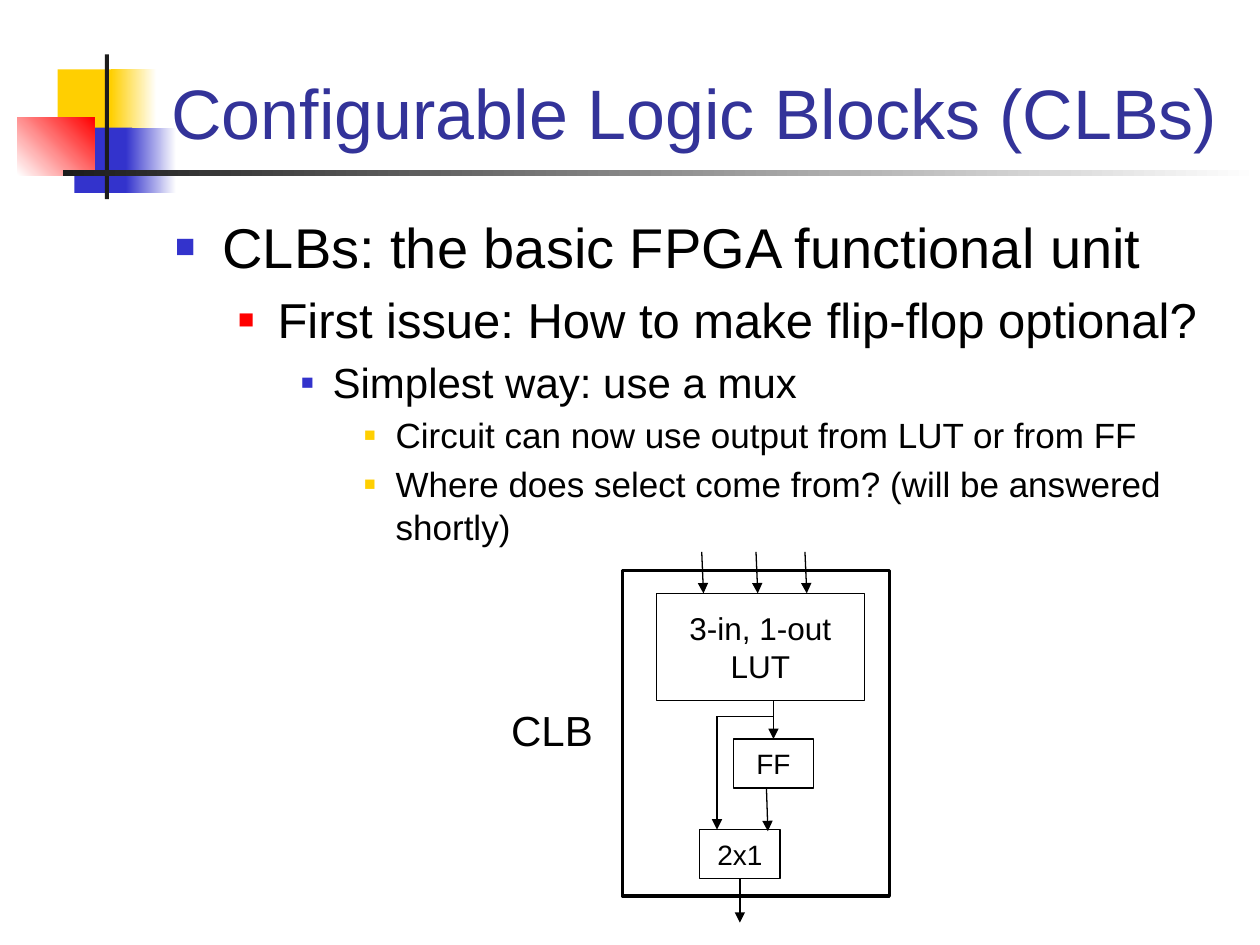
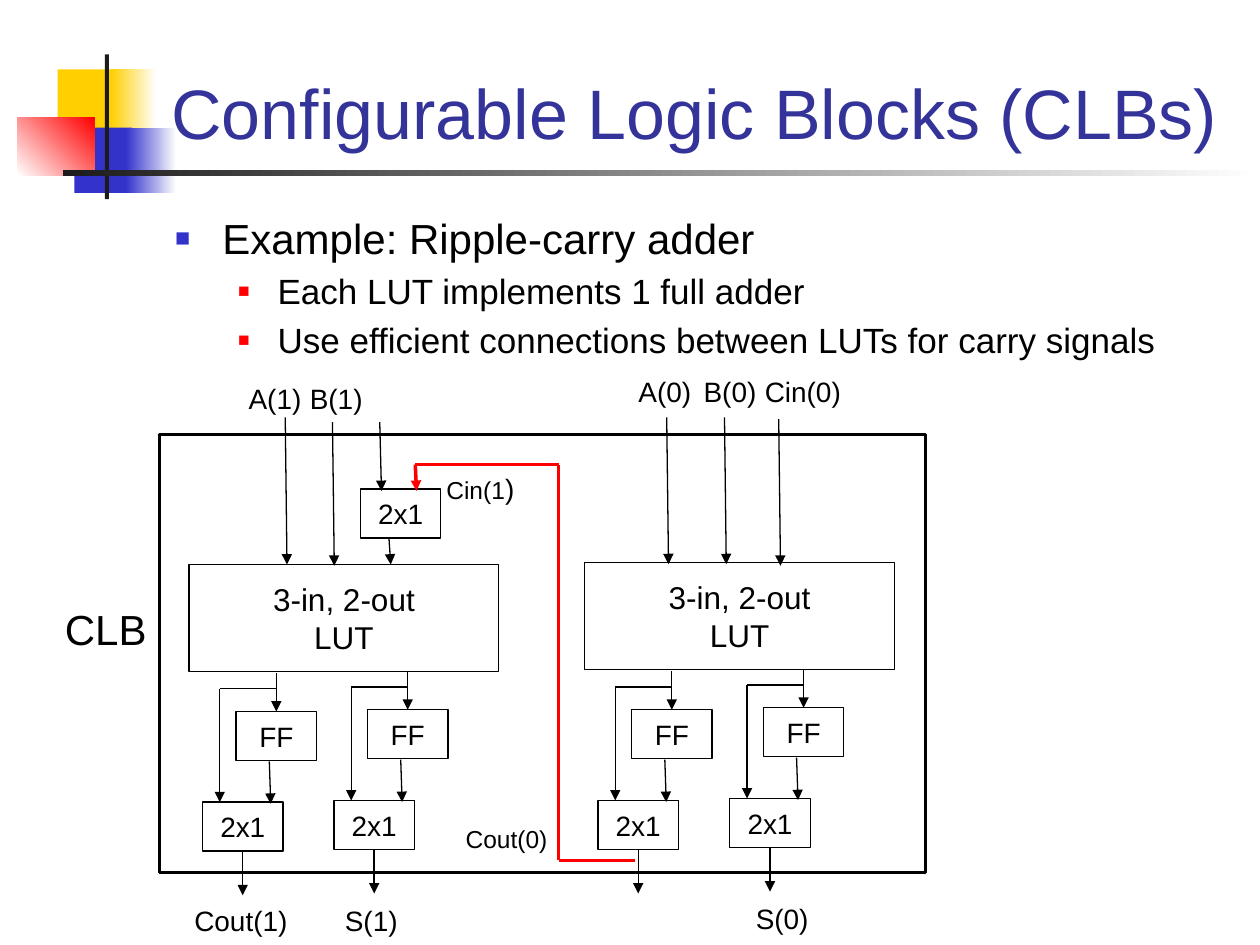
from itertools import pairwise

from lxml.etree import SubElement
from pptx import Presentation
from pptx.dml.color import RGBColor
from pptx.enum.shapes import MSO_CONNECTOR, MSO_SHAPE
from pptx.enum.text import MSO_ANCHOR, MSO_AUTO_SIZE, PP_ALIGN
from pptx.oxml.ns import qn
from pptx.util import Pt

BLACK = RGBColor(0, 0, 0)
WHITE = RGBColor(255, 255, 255)
CHARCOAL = RGBColor(0x1C, 0x1C, 0x1C)
YELLOW = RGBColor(0xFF, 0xCF, 0x01)
BLUE = RGBColor(0x33, 0x33, 0xCC)
RED = RGBColor(0xFF, 0, 0)
TITLE_BLUE = RGBColor(0x33, 0x33, 0x99)

FONT = "Arial"
TITLE = "Configurable Logic Blocks (CLBs)"
THIN, FRAME, CARRY = 0.75, 1.75, 2
TOP, BOTTOM = 0, 2
BLOCK_WIDTH, BLOCK_HEIGHT = 46, 28
LUT_HEIGHT = 61.2

TITLE_BOX = {"left": Pt(90.7), "top": Pt(1.4), "width": Pt(613.4), "height": Pt(90)}
BODY_BOX = {"left": Pt(92.9), "top": Pt(113.8), "width": Pt(612), "height": Pt(368.6)}
BULLETS = [(27, 27, BLUE, 60), (58.5, 22.5, RED, 55), (90, 18, BLUE, 50), (126, 18, YELLOW, 55)]
BACKDROP = [
    (33, 39.6, 34.6, 37.4, YELLOW, None, 0),
    (63.4, 39.6, 26, 37.4, YELLOW, WHITE, 0),
    (42.5, 72.9, 33, 37.4, BLUE, None, 0),
    (72, 72.9, 28.8, 37.4, BLUE, WHITE, 0),
    (10, 67, 44, 33.3, WHITE, RED, 45),
    (59.9, 31, 2.4, 82.8, CHARCOAL, None, 0),
    (36, 97.2, 684, 3.4, CHARCOAL, WHITE, 0),
]


def apply_formats(target, formats):
    for name, value in formats.items():
        setattr(target, name, value)


def add_text(paragraph, text, size, color=BLACK):
    run = paragraph.add_run()
    run.text = text
    apply_formats(run.font, {"name": FONT, "size": Pt(size)})
    run.font.color.rgb = color


def add_rectangle(slide, left, top, width, height, fill=None, line_width=None):
    shape = slide.shapes.add_shape(
        MSO_SHAPE.RECTANGLE, Pt(left), Pt(top), Pt(width), Pt(height))
    shape.shadow.inherit = False
    if fill is None:
        shape.fill.background()
    else:
        shape.fill.solid()
        shape.fill.fore_color.rgb = fill
    if line_width is None:
        shape.line.fill.background()
    else:
        shape.line.color.rgb = BLACK
        shape.line.width = Pt(line_width)
    return shape


def add_block(slide, left, top, width, height, lines, size, fill=None):
    shape = add_rectangle(slide, left, top, width, height, fill, THIN)
    frame = shape.text_frame
    apply_formats(frame, {"word_wrap": False, "vertical_anchor": MSO_ANCHOR.MIDDLE})
    for index, text in enumerate(lines):
        paragraph = frame.add_paragraph() if index else frame.paragraphs[0]
        paragraph.alignment = PP_ALIGN.CENTER
        add_text(paragraph, text, size)
    return shape


def add_small_block(slide, left, top, text):
    return add_block(slide, left, top, BLOCK_WIDTH, BLOCK_HEIGHT, [text], 16, WHITE)


def add_lut(slide, left, top, width, outputs):
    add_block(slide, left, top, width, LUT_HEIGHT, [f"3-in, {outputs}-out", "LUT"], 18)


def add_line(slide, begin, end, arrow=True, color=BLACK, width=THIN):
    connector = slide.shapes.add_connector(
        MSO_CONNECTOR.STRAIGHT, *(Pt(value) for value in (*begin, *end)))
    connector.line.color.rgb = color
    connector.line.width = Pt(width)
    properties = connector.element.spPr
    if arrow:
        SubElement(properties.find(qn("a:ln")), qn("a:tailEnd"), type="triangle")
    SubElement(properties, qn("a:effectLst"))
    return connector


def add_label(slide, text, left, top, width, size=16):
    box = slide.shapes.add_textbox(Pt(left), Pt(top), Pt(width), Pt(size * 1.15 + 8))
    box.text_frame.word_wrap = True
    paragraph = box.text_frame.paragraphs[0]
    add_text(paragraph, text, size)
    return paragraph


def add_output_stage(slide, x, y):
    flip_flop = add_small_block(slide, x - 23, y + 22, "FF")
    multiplexer = add_small_block(slide, x - 42.2, y + 73.8, "2x1")
    add_line(slide, (x, y), (x, y + 22)).end_connect(flip_flop, TOP)
    add_line(slide, (x - 32.3, y + 9), (x, y + 9), arrow=False)
    add_line(slide, (x - 32.3, y + 9), (x - 32.3, y + 73.8))
    add_line(slide, (x - 4, y + 50.5), (x - 3.2, y + 74.7))
    output = add_line(slide, (x - 19.2, y + 101.8), (x - 19.2, y + 127))
    output.begin_connect(multiplexer, BOTTOM)


def add_carry_path(slide, points):
    for begin, end in pairwise(points):
        add_line(slide, begin, end, end == points[-1], RED, CARRY)


def add_bullet(paragraph, level):
    margin, hanging, color, percent = BULLETS[level]
    paragraph.level = level
    properties = paragraph._p.get_or_add_pPr()
    properties.set("marL", str(Pt(margin)))
    properties.set("indent", str(-Pt(hanging)))
    bullet_color = SubElement(properties, qn("a:buClr"))
    SubElement(bullet_color, qn("a:srgbClr"), val=str(color))
    SubElement(properties, qn("a:buSzPct"), val=str(percent * 1000))
    SubElement(properties, qn("a:buFont"), typeface=FONT)
    SubElement(properties, qn("a:buChar"), char="■")


def add_content_slide(presentation, items):
    slide = presentation.slides.add_slide(presentation.slide_layouts[1])
    title = slide.shapes.title.text_frame
    apply_formats(title, {"vertical_anchor": MSO_ANCHOR.BOTTOM,
                          "auto_size": MSO_AUTO_SIZE.NONE, "word_wrap": True})
    title.paragraphs[0].alignment = PP_ALIGN.LEFT
    add_text(title.paragraphs[0], TITLE, 40, TITLE_BLUE)
    body = slide.placeholders[1].text_frame
    apply_formats(body, {"auto_size": MSO_AUTO_SIZE.NONE, "margin_top": Pt(7.5)})
    for index, (level, size, text) in enumerate(items):
        paragraph = body.add_paragraph() if index else body.paragraphs[0]
        add_bullet(paragraph, level)
        paragraph.space_before = Pt(size * 0.2 if index else 0)
        add_text(paragraph, text, size)
    return slide


def style_layout(layout, slide):
    apply_formats(layout.placeholders[0], TITLE_BOX)
    apply_formats(layout.placeholders[1], BODY_BOX)
    for index, (left, top, width, height, start, finish, angle) in enumerate(BACKDROP):
        shape = add_rectangle(slide, left, top, width, height, start)
        if finish is not None:
            shape.fill.gradient()
            shape.fill.gradient_angle = angle
            for stop, color in zip(shape.fill.gradient_stops, (start, finish)):
                stop.color.rgb = color
        shape.element.nvSpPr.cNvPr.set("id", str(20 + index))
        layout.element.cSld.spTree.insert(2 + index, shape.element)


def draw_single_lut(slide):
    add_lut(slide, 375.1, 339.1, 118.8, 1)
    for x in (401, 432, 460):
        add_line(slide, (x, 315.4), (x + 1, 339.1))
    add_output_stage(slide, 442, 400.3)
    add_rectangle(slide, 355.7, 326.2, 152.6, 185.8, line_width=FRAME)
    add_label(slide, "CLB", 285, 399, 83, 24)


def draw_ripple_carry_adder(slide):
    add_lut(slide, 334.1, 321.5, 177.1, 2)
    add_lut(slide, 108, 322.6, 177.1, 2)
    for x, y in ((459.2, 382.5), (383.9, 383.6), (233, 383.6), (157.9, 384.6)):
        add_output_stage(slide, x, y)
    add_small_block(slide, 205.9, 279.4, "2x1")
    inputs = [
        (163, 238.5, 322.6), (190, 241.2, 323.3), (217, 241.2, 280.6),
        (222.3, 308, 322.6), (381, 238.5, 322.4), (414, 238.5, 322.4),
        (445, 239.5, 323.3),
    ]
    for x, top, bottom in inputs:
        add_line(slide, (x, top), (x + 1, bottom))
    add_carry_path(slide, [(363, 491.6), (319.2, 491.6), (319.2, 265.5),
                           (237.3, 265.5), (238, 280.6)])
    add_rectangle(slide, 90.9, 248.2, 437.8, 250.2, line_width=FRAME)
    add_label(slide, "CLB", 30, 341.5, 83, 24)
    labels = [
        ("A(0)", 357.8, 210.5, 50), ("B(0)", 395, 210.5, 50), ("Cin(0)", 430, 210.5, 66),
        ("S(0)", 424.8, 511.5, 50), ("A(1)", 135, 214.5, 50), ("B(1)", 170, 214.5, 50),
        ("S(1)", 190, 513, 50), ("Cout(1)", 104, 512.5, 77),
    ]
    for label in labels:
        add_label(slide, *label)
    add_label(slide, "Cout(0)", 259, 467.5, 77, 14)
    add_text(add_label(slide, "Cin(1", 248, 265.7, 66, 14), ")", 16)


def main():
    presentation = Presentation()
    apply_formats(presentation, {"slide_width": Pt(720), "slide_height": Pt(540)})
    single_lut = add_content_slide(presentation, [
        (0, 32, "CLBs: the basic FPGA functional unit"),
        (1, 28, "First issue: How to make flip-flop optional?"),
        (2, 24, "Simplest way: use a mux"),
        (3, 20, "Circuit can now use output from LUT or from FF"),
        (3, 20, "Where does select come from? (will be answered shortly)"),
    ])
    style_layout(presentation.slide_layouts[1], single_lut)
    draw_single_lut(single_lut)
    adder = add_content_slide(presentation, [
        (0, 24, "Example: Ripple-carry adder"),
        (1, 20, "Each LUT implements 1 full adder"),
        (1, 20, "Use efficient connections between LUTs for carry signals"),
    ])
    draw_ripple_carry_adder(adder)
    presentation.save("out.pptx")


if __name__ == "__main__":
    main()
